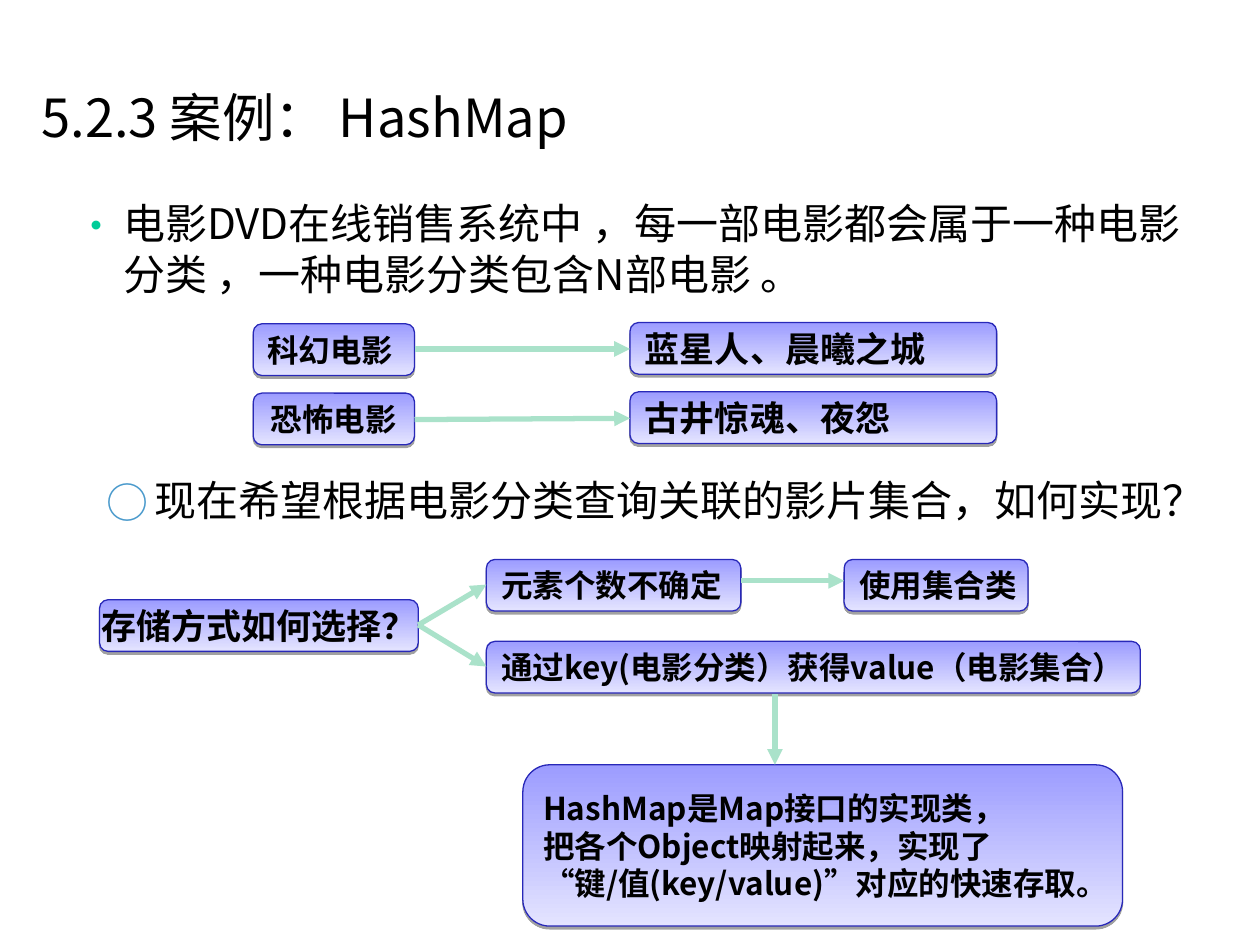
from dataclasses import dataclass

from lxml import etree
from pptx import Presentation
from pptx.dml.color import RGBColor
from pptx.enum.shapes import MSO_CONNECTOR, MSO_SHAPE
from pptx.enum.text import MSO_ANCHOR, PP_ALIGN
from pptx.oxml.ns import qn
from pptx.util import Emu, Pt

ROUNDED = MSO_SHAPE.ROUNDED_RECTANGLE
STRAIGHT = MSO_CONNECTOR.STRAIGHT
MIDDLE, TOP = MSO_ANCHOR.MIDDLE, MSO_ANCHOR.TOP
LEFT, CENTER = PP_ALIGN.LEFT, PP_ALIGN.CENTER

EMU_PER_PX = 9144  # 100 px to the inch
FONT = "Noto Sans CJK SC"
BLACK = "000000"
BOX_TOP, BOX_BOTTOM, BOX_LINE = "9C9CFF", "E4E4FF", "2828B8"
ARROW_COLOR = "AAE2CA"
ROW_HEIGHT = 41
BULLET_INDENT = 38


@dataclass
class Bullet:
    character: str
    color: str
    space_before: float
    space_after: float


@dataclass
class TextBlock:
    text: str
    left: int
    top: int
    width: int
    height: int
    size: int
    anchor: MSO_ANCHOR = TOP
    bullet: Bullet | None = None


@dataclass
class Box:
    lines: list[str]
    left: int
    top: int
    width: int
    height: int = ROW_HEIGHT
    size: int = 18
    align: PP_ALIGN = LEFT


@dataclass
class Arrow:
    start: tuple[int, int]
    end: tuple[int, int]


def px(value: int) -> Emu:
    return Emu(value * EMU_PER_PX)


def color(value: str) -> RGBColor:
    return RGBColor.from_string(value)


def add_run(paragraph, text: str, size: int, bold: bool = False) -> None:
    run = paragraph.add_run()
    run.text = text
    run.font.size = Pt(size)
    run.font.bold = bold
    run.font.color.rgb = color(BLACK)
    run.font.name = FONT
    properties = run._r.get_or_add_rPr()
    etree.SubElement(properties, qn("a:ea"), typeface=FONT)


def add_bullet(paragraph, bullet: Bullet) -> None:
    paragraph.space_after = Pt(bullet.space_after)
    paragraph.space_before = Pt(bullet.space_before)
    properties = paragraph._p.get_or_add_pPr()
    properties.set("marL", str(px(BULLET_INDENT)))
    properties.set("indent", str(px(-BULLET_INDENT)))
    bullet_color = etree.SubElement(properties, qn("a:buClr"))
    etree.SubElement(bullet_color, qn("a:srgbClr"), val=bullet.color)
    etree.SubElement(properties, qn("a:buFont"), typeface=FONT)
    etree.SubElement(properties, qn("a:buChar"), char=bullet.character)


def add_text(slide, block: TextBlock) -> None:
    shape = slide.shapes.add_textbox(
        px(block.left), px(block.top), px(block.width), px(block.height))
    frame = shape.text_frame
    frame.word_wrap = True
    frame.vertical_anchor = block.anchor
    paragraph = frame.paragraphs[0]
    if block.bullet:
        add_bullet(paragraph, block.bullet)
    add_run(paragraph, block.text, block.size)


def add_shadow(shape) -> None:
    shape.shadow.inherit = False
    effects = shape._element.spPr.find(qn("a:effectLst"))
    shadow = etree.SubElement(
        effects, qn("a:outerShdw"), blurRad="0", dist=str(Pt(1.6)),
        dir="5400000", rotWithShape="0")
    shadow_color = etree.SubElement(shadow, qn("a:srgbClr"), val=BLACK)
    etree.SubElement(shadow_color, qn("a:alpha"), val="37000")


def add_box(slide, box: Box) -> None:
    shape = slide.shapes.add_shape(
        ROUNDED, px(box.left), px(box.top), px(box.width), px(box.height))
    shape.fill.gradient()
    shape.fill.gradient_angle = 270
    for stop, value in zip(shape.fill.gradient_stops, (BOX_TOP, BOX_BOTTOM)):
        stop.color.rgb = color(value)
    shape.line.color.rgb = color(BOX_LINE)
    shape.line.width = Pt(0.75)
    add_shadow(shape)
    frame = shape.text_frame
    frame.word_wrap = False
    frame.vertical_anchor = MIDDLE
    for index, line in enumerate(box.lines):
        paragraph = frame.add_paragraph() if index else frame.paragraphs[0]
        paragraph.alignment = box.align
        add_run(paragraph, line, box.size, bold=True)


def add_arrow(slide, arrow: Arrow) -> None:
    connector = slide.shapes.add_connector(
        STRAIGHT, *(px(value) for value in arrow.start + arrow.end))
    connector.line.color.rgb = color(ARROW_COLOR)
    connector.line.width = Pt(3)
    etree.SubElement(
        connector.line._get_or_add_ln(), qn("a:tailEnd"), type="triangle")
    etree.SubElement(connector._element.spPr, qn("a:effectLst"))


# Title and bullet points
TEXTS = [
    TextBlock("5.2.3 案例： HashMap", 23, 30, 927, 125, 30, anchor=MIDDLE),
    TextBlock("电影DVD在线销售系统中 ，每一部电影都会属于一种电影分类 ，"
              "一种电影分类包含N部电影 。",
              50, 152, 925, 107, 24, bullet=Bullet("•", "00CC99", 6, 0)),
    TextBlock("现在希望根据电影分类查询关联的影片集合，如何实现？",
              75, 372, 900, 79, 24, bullet=Bullet("○", "4A9ACC", 7.5, 7.5)),
]

BOXES = [
    # Film categories and their films
    Box(["科幻电影 "], 201, 257, 128, align=CENTER),
    Box(["蓝星人、晨曦之城"], 500, 256, 291, size=20),
    Box(["恐怖电影"], 201, 312, 128, align=CENTER),
    Box(["古井惊魂、夜怨"], 500, 311, 291, size=20),
    # Choice of storage
    Box(["存储方式如何选择？"], 79, 476, 253, size=20, align=CENTER),
    Box(["元素个数不确定"], 386, 444, 202),
    Box(["使用集合类"], 670, 444, 146),
    Box(["通过key(电影分类）获得value（电影集合）"], 386, 509, 519),
    # Conclusion
    Box(["HashMap是Map接口的实现类，",
         "把各个Object映射起来，实现了",
         "“键/值(key/value)”对应的快速存取。"], 415, 607, 476, height=128),
]

ARROWS = [
    Arrow((329, 277), (500, 277)),
    Arrow((329, 333), (500, 332)),
    Arrow((332, 496), (386, 464)),
    Arrow((332, 496), (386, 529)),
    Arrow((588, 461), (670, 461)),
    Arrow((615, 551), (615, 607)),
]


def main() -> None:
    presentation = Presentation()
    presentation.slide_width = px(1000)
    presentation.slide_height = px(750)
    slide = presentation.slides.add_slide(presentation.slide_layouts[6])
    for block in TEXTS:
        add_text(slide, block)
    for box in BOXES:
        add_box(slide, box)
    for arrow in ARROWS:
        add_arrow(slide, arrow)
    presentation.save("out.pptx")


if __name__ == "__main__":
    main()
